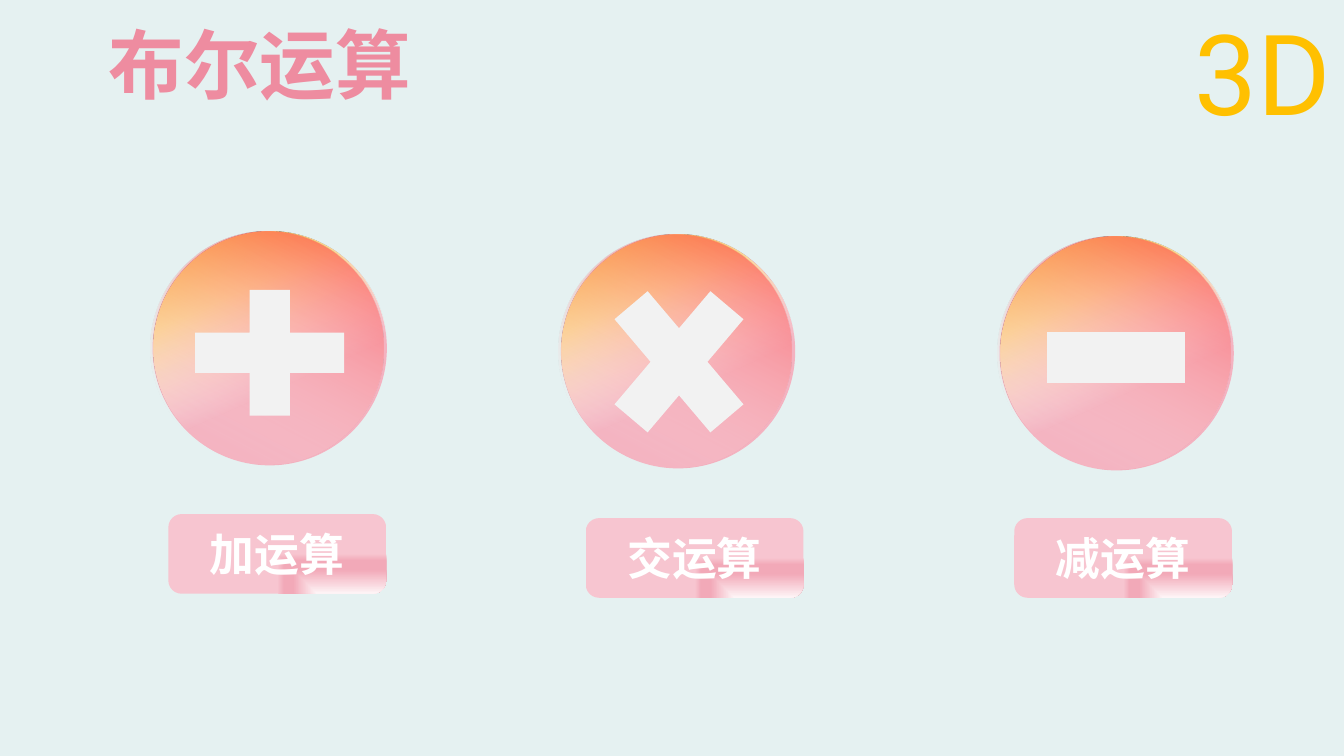
from dataclasses import dataclass

from lxml.etree import SubElement
from pptx import Presentation
from pptx.dml.color import RGBColor
from pptx.enum.shapes import MSO_SHAPE
from pptx.enum.text import MSO_ANCHOR, PP_ALIGN
from pptx.oxml.ns import qn
from pptx.shapes.autoshape import Shape
from pptx.shapes.shapetree import GroupShapes
from pptx.slide import Slide
from pptx.text.text import TextFrame
from pptx.util import Inches, Pt


@dataclass(frozen=True)
class Theme:
    background: str = "E5F1F1"
    title: str = "EE8CA0"
    accent: str = "FFC000"
    disc: str = "F4B2C0"
    symbol: str = "F2F2F2"
    label: str = "FFFFFF"
    body_font: str = "Calibri"
    accent_font: str = "Roboto"
    title_size: int = 54
    label_size: int = 32
    accent_size: int = 80


@dataclass(frozen=True)
class Box:
    left: float
    top: float
    width: float
    height: float

    def lengths(self) -> tuple[int, ...]:
        return tuple(Inches(n) for n in (self.left, self.top, self.width, self.height))


@dataclass(frozen=True)
class Stop:
    position: int
    color: str
    opacity: int = 100


@dataclass(frozen=True)
class Glow:
    shift: float
    rotation: float
    stops: tuple[Stop, ...]


@dataclass(frozen=True)
class Operation:
    label: str
    disc_left: float
    disc_top: float
    symbol: MSO_SHAPE
    symbol_box: Box
    label_left: float
    label_top: float


THEME = Theme()
DISC_SIZE = 2.31
LABEL_WIDTH, LABEL_HEIGHT = 2.16, 0.79
GLOWS = (
    Glow(0, 155.8, (Stop(40, "FFFFFF", 0), Stop(66, "FDD990"), Stop(98, "FAA906"))),
    Glow(-0.03, 207.4, (Stop(21, "FFFFFF", 0), Stop(98, "FF0000", 76))),
)
LABEL_STOPS = (Stop(0, "FEF5F7"), Stop(60, "F2A9B8"), Stop(83, "F2A9B8"), Stop(100, "F7C5D0"))
OPERATIONS = (
    Operation("加运算", 1.52, 2.3, MSO_SHAPE.MATH_PLUS, Box(1.67, 2.65, 2.01, 1.7), 1.67, 5.1),
    Operation("交运算", 5.57, 2.33, MSO_SHAPE.MATH_MULTIPLY, Box(5.82, 2.51, 1.83, 2.16), 5.81, 5.14),
    Operation("减运算", 9.92, 2.35, MSO_SHAPE.MATH_MINUS, Box(10.14, 2.48, 1.86, 2.13), 10.06, 5.14),
)


def add_plain_shape(shapes: GroupShapes, kind: MSO_SHAPE, box: Box, color: str | None = None) -> Shape:
    """Add a shape without shadow or outline, and without fill if no color is given."""
    shape = shapes.add_shape(kind, *box.lengths())
    shape.shadow.inherit = False
    shape.line.fill.background()
    if color:
        shape.fill.solid()
        shape.fill.fore_color.rgb = RGBColor.from_string(color)
    else:
        shape.fill.background()
    return shape


def set_gradient(shape: Shape, stops: tuple[Stop, ...], from_corner: bool = False) -> None:
    """Fill from top to bottom, or outwards from the bottom right corner."""
    shape.fill.background()
    properties = shape._element.spPr
    empty_fill = properties.find(qn("a:noFill"))
    gradient = SubElement(properties, qn("a:gradFill"), rotWithShape="1")
    properties.replace(empty_fill, gradient)
    stop_list = SubElement(gradient, qn("a:gsLst"))
    for stop in stops:
        entry = SubElement(stop_list, qn("a:gs"), pos=str(stop.position * 1000))
        color = SubElement(entry, qn("a:srgbClr"), val=stop.color)
        if stop.opacity < 100:
            SubElement(color, qn("a:alpha"), val=str(stop.opacity * 1000))
    if from_corner:
        route = SubElement(gradient, qn("a:path"), path="rect")
        SubElement(route, qn("a:fillToRect"), l="100000", t="100000")
    else:
        SubElement(gradient, qn("a:lin"), ang="5400000", scaled="0")


def write_text(frame: TextFrame, text: str, font: str, size: int, color: str,
               bold: bool = True, alignment: PP_ALIGN = PP_ALIGN.CENTER) -> None:
    frame.word_wrap = True
    frame.text = text
    paragraph = frame.paragraphs[0]
    paragraph.alignment = alignment
    run = paragraph.runs[0]
    run.font.name = font
    run.font.size = Pt(size)
    run.font.bold = bold
    run.font.color.rgb = RGBColor.from_string(color)


def draw_button(slide: Slide, operation: Operation) -> None:
    shapes = slide.shapes.add_group_shape().shapes
    disc_box = Box(operation.disc_left, operation.disc_top, DISC_SIZE, DISC_SIZE)
    disc = add_plain_shape(shapes, MSO_SHAPE.OVAL, disc_box, THEME.disc)
    disc.line.color.rgb = RGBColor.from_string(THEME.disc)
    disc.line.width = Pt(1)
    for glow in GLOWS:
        glow_box = Box(disc_box.left + glow.shift, disc_box.top, DISC_SIZE, DISC_SIZE)
        layer = add_plain_shape(shapes, MSO_SHAPE.OVAL, glow_box)
        layer.rotation = glow.rotation
        set_gradient(layer, glow.stops)
    add_plain_shape(shapes, operation.symbol, operation.symbol_box, THEME.symbol)


def draw_label(slide: Slide, operation: Operation) -> None:
    box = Box(operation.label_left, operation.label_top, LABEL_WIDTH, LABEL_HEIGHT)
    label = add_plain_shape(slide.shapes, MSO_SHAPE.ROUNDED_RECTANGLE, box)
    set_gradient(label, LABEL_STOPS, from_corner=True)
    label.text_frame.vertical_anchor = MSO_ANCHOR.MIDDLE
    write_text(label.text_frame, operation.label, THEME.body_font, THEME.label_size, THEME.label)


def main() -> None:
    presentation = Presentation()
    presentation.slide_width = Inches(13.33)
    presentation.slide_height = Inches(7.5)
    slide = presentation.slides.add_slide(presentation.slide_layouts[6])
    slide.background.fill.solid()
    slide.background.fill.fore_color.rgb = RGBColor.from_string(THEME.background)

    title = slide.shapes.add_textbox(*Box(0.55, 0.13, 4.05, 1.01).lengths())
    write_text(title.text_frame, "布尔运算", THEME.body_font, THEME.title_size, THEME.title)
    for operation in OPERATIONS:
        draw_button(slide, operation)
        draw_label(slide, operation)

    corner = slide.shapes.add_textbox(*Box(11.75, -0.41, 1.69, 1.85).lengths())
    write_text(corner.text_frame, "3D", THEME.accent_font, THEME.accent_size, THEME.accent,
               bold=False, alignment=PP_ALIGN.LEFT)
    corner.text_frame.paragraphs[0].line_spacing = 1.3
    presentation.save("out.pptx")


if __name__ == "__main__":
    main()
